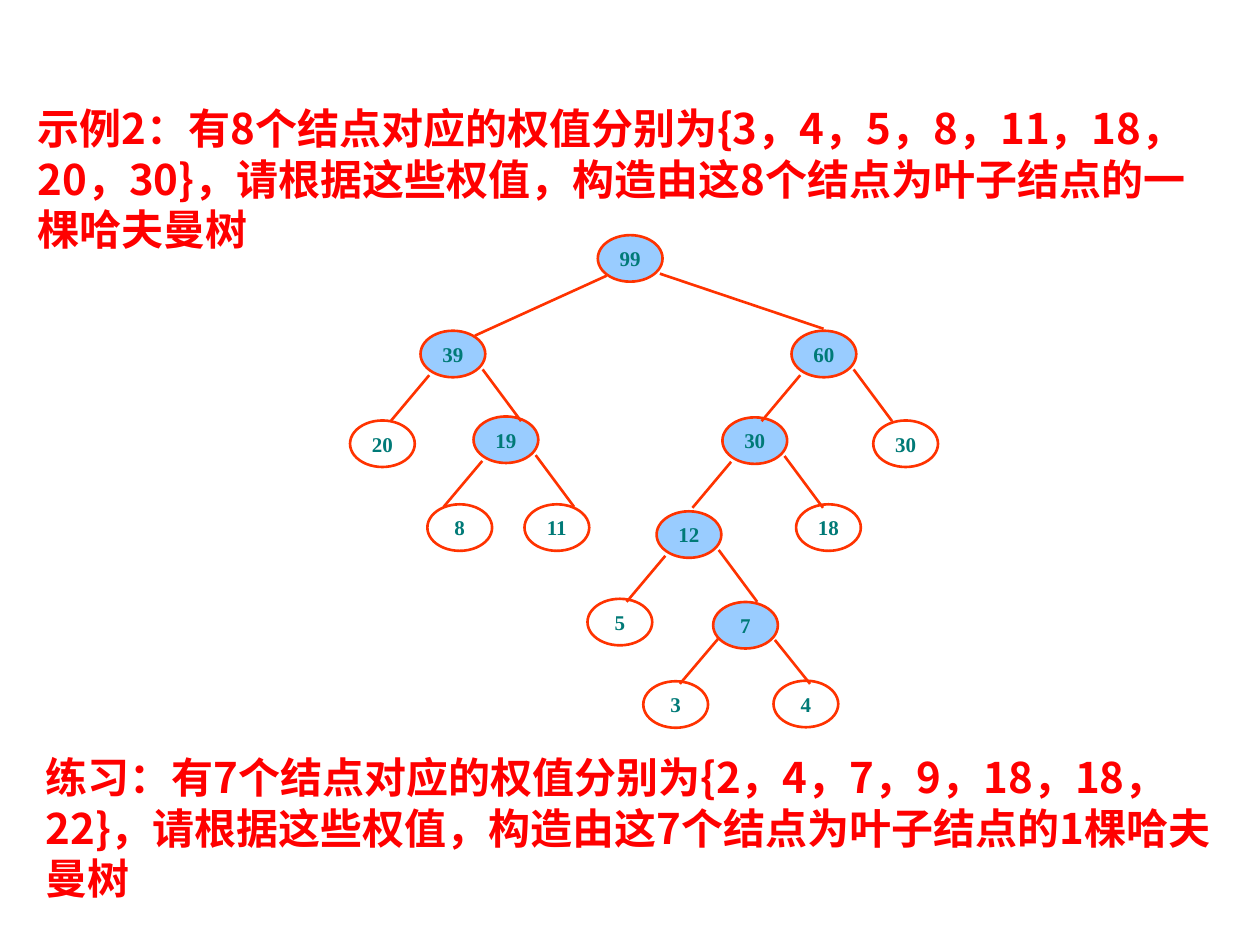
from lxml import etree
from pptx import Presentation
from pptx.dml.color import RGBColor
from pptx.enum import shapes, text
from pptx.oxml.ns import qn
from pptx.util import Pt

RED = RGBColor(0xFF, 0x00, 0x00)
ORANGE = RGBColor(0xFF, 0x33, 0x00)
BLUE = RGBColor(0x99, 0xCC, 0xFF)
TEAL = RGBColor(0x00, 0x7A, 0x77)

# text, (left, top, width, height)
QUESTIONS = [
    ("示例2：有8个结点对应的权值分别为{3，4，5，8，11，18，20，30}，"
     "请根据这些权值，构造由这8个结点为叶子结点的一棵哈夫曼树",
     (14.4, 54.7, 692, 94.3)),
    ("练习：有7个结点对应的权值分别为{2，4，7，9，18，18，22}，"
     "请根据这些权值，构造由这7个结点为叶子结点的1棵哈夫曼树",
     (18.9, 425.5, 701.1, 94.3)),
]

# weight, left, top
LEAVES = [
    (20, 200, 240.3), (30, 499, 240.3), (8, 244.2, 288.2), (11, 299.7, 288.2),
    (18, 454.9, 288.2), (5, 335.7, 342.2), (3, 367.6, 389.3), (4, 442, 389),
]

# Branch ends relative to the parent's corner: x1, y1, x2, y2
BRANCHES = [(5, 25.4, -17.1, 51.7), (35.5, 22.1, 57.5, 51.7)]
ROOT_BRANCHES = [(5, 23.2, -70.2, 57.4), (35.5, 22, 129, 53.5)]
LAST_BRANCHES = [(3, 20.9, -19, 46.8), (35.3, 21.7, 55.4, 46.8)]

# weight, left, top, branches
PARENTS = [
    (99, 341.6, 134.4, ROOT_BRANCHES),
    (39, 240.3, 189, BRANCHES),
    (60, 452.3, 189, BRANCHES),
    (19, 270.6, 238, BRANCHES),
    (30, 412.8, 238.5, BRANCHES),
    (12, 375.2, 292.2, BRANCHES),
    (7, 407.5, 344, LAST_BRANCHES),
]
NODE_SIZE = (37, 26.6)


def write(tf, words, align, **font):
    p = tf.paragraphs[0]
    p.alignment = align
    r = p.add_run()
    r.text = words
    color = font.pop("color")
    for key, value in font.items():
        setattr(r.font, key, value)
    r.font.color.rgb = color
    ea = etree.SubElement(r.font._element, qn("a:ea"))
    ea.set("typeface", font["name"])


def add_question(s, words, box):
    tf = s.shapes.add_textbox(*map(Pt, box)).text_frame
    tf.word_wrap = True
    tf.vertical_anchor = text.MSO_ANCHOR.MIDDLE
    write(tf, words, text.PP_ALIGN.LEFT, name="Noto Sans CJK SC",
          size=Pt(24), bold=True, color=RED)


def add_node(s, weight, left, top, fill=None):
    sp = s.shapes.add_shape(shapes.MSO_SHAPE.OVAL,
                            *map(Pt, (left, top, *NODE_SIZE)))
    sp.shadow.inherit = False
    if fill is None:
        sp.fill.background()
    else:
        sp.fill.solid()
        sp.fill.fore_color.rgb = fill
    sp.line.color.rgb = ORANGE
    sp.line.width = Pt(1.5)
    tf = sp.text_frame
    for side in ("left", "top", "right", "bottom"):
        setattr(tf, f"margin_{side}", 0)
    tf.vertical_anchor = text.MSO_ANCHOR.MIDDLE
    write(tf, str(weight), text.PP_ALIGN.CENTER, name="Times New Roman",
          size=Pt(12), bold=True, color=TEAL)


def add_branch(s, left, top, x1, y1, x2, y2):
    ends = (left + x1, top + y1, left + x2, top + y2)
    line = s.shapes.add_connector(shapes.MSO_CONNECTOR.STRAIGHT, *map(Pt, ends))
    line.line.color.rgb = ORANGE
    line.line.width = Pt(1.5)
    etree.SubElement(line._element.spPr, qn("a:effectLst"))


def main():
    prs = Presentation()
    prs.slide_width, prs.slide_height = Pt(720), Pt(540)
    s = prs.slides.add_slide(prs.slide_layouts[6])
    for words, box in QUESTIONS:
        add_question(s, words, box)
    for leaf in LEAVES:
        add_node(s, *leaf)
    for weight, left, top, _ in PARENTS:
        add_node(s, weight, left, top, BLUE)
    for _, left, top, branches in PARENTS:
        for branch in branches:
            add_branch(s, left, top, *branch)
    prs.save("out.pptx")


if __name__ == "__main__":
    main()
